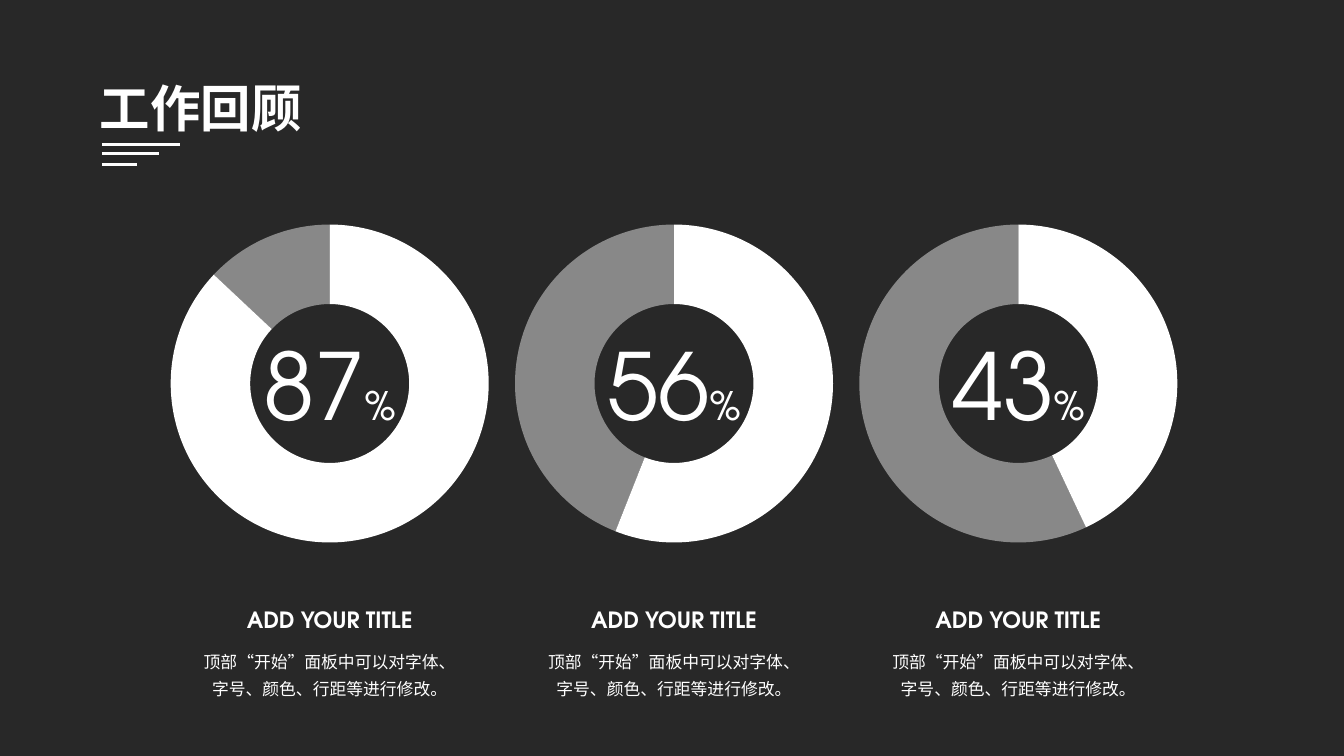
"""Build the work review slide with three doughnut charts."""
from lxml.etree import SubElement
from pptx import Presentation
from pptx.chart.data import CategoryChartData
from pptx.dml.color import RGBColor
from pptx.enum.chart import XL_CHART_TYPE as ChartType
from pptx.enum.shapes import MSO_CONNECTOR as Connector
from pptx.enum.text import MSO_ANCHOR as Anchor, MSO_AUTO_SIZE as AutoSize, PP_ALIGN as Align
from pptx.oxml import parse_xml
from pptx.oxml.ns import nsdecls, qn
from pptx.util import Inches, Pt

LATIN = "TeX Gyre Adventor"
CHINESE = "Noto Sans CJK SC"
BACKGROUND = "282828"
WHITE = "FFFFFF"
HEADING = "ADD YOUR TITLE"
DESCRIPTION = "顶部“开始”面板中可以对字体、字号、颜色、行距等进行修改。"
PERCENTAGES = (87, 56, 43)
FIRST_CENTER = 3.27
COLUMN_STEP = 3.415


def color(value):
    """Turn a hex string into a colour."""
    return RGBColor.from_string(value)


def add_run(paragraph, text, size, font=LATIN, bold=False):
    """Add white text in the given format to a paragraph."""
    run = paragraph.add_run()
    run.text = text
    run.font.size = Pt(size)
    run.font.bold = bold
    run.font.name = font
    run.font.color.rgb = color(WHITE)
    SubElement(run.font._element, qn("a:ea"), typeface=CHINESE)


def add_text(slide, center, top, width, height, runs, margins=(0.07, 0.04),
             wrap=True, spacing=None, **format):
    """Add a centred text box holding (text, size) runs."""
    box = slide.shapes.add_textbox(Inches(center - width / 2), Inches(top),
                                   Inches(width), Inches(height))
    frame = box.text_frame
    frame.word_wrap = wrap
    frame.auto_size = AutoSize.SHAPE_TO_FIT_TEXT
    frame.margin_left = frame.margin_right = Inches(margins[0])
    frame.margin_top = frame.margin_bottom = Inches(margins[1])
    paragraph = frame.paragraphs[0]
    paragraph.alignment = Align.CENTER
    if spacing:
        paragraph.line_spacing = spacing
    for text, size in runs:
        add_run(paragraph, text, size, **format)


def set_title(slide, text):
    """Place and format the slide title."""
    title = slide.shapes.title
    title.left, title.top = Inches(0.89), Inches(0.78)
    title.width, title.height = Inches(3.94), Inches(0.65)
    title.text_frame.vertical_anchor = Anchor.MIDDLE
    paragraph = title.text_frame.paragraphs[0]
    paragraph.alignment = Align.LEFT
    paragraph.line_spacing = 0.9
    add_run(paragraph, text, 36, bold=True)


def add_rule(slide, top, length):
    """Add a white line below the title."""
    rule = slide.shapes.add_connector(Connector.STRAIGHT, Inches(1.01), Inches(top),
                                      Inches(1.01 + length), Inches(top))
    rule.line.color.rgb = color(WHITE)
    rule.line.width = Pt(2.25)
    SubElement(rule._element.spPr, qn("a:effectLst"))


def add_doughnut(slide, center, percentage):
    """Add a doughnut with a white share and a translucent remainder."""
    data = CategoryChartData()
    data.categories = ["1", "2"]
    data.add_series("Series 1", (percentage, 100 - percentage))
    chart = slide.shapes.add_chart(ChartType.DOUGHNUT, Inches(center - 1.715), Inches(2.07),
                                   Inches(3.43), Inches(3.47), data).chart
    chart.has_legend = False
    chart.has_title = False
    chart.font.size = Pt(10)
    chart.font.name = LATIN
    chart.font.color.rgb = color("000000")
    plot = chart.plots[0]
    plot.vary_by_categories = True
    plot._element.find(qn("c:holeSize")).set("val", "75")
    for index in range(2):
        point = plot.series[0].points[index]
        point.format.fill.solid()
        point.format.fill.fore_color.rgb = color(WHITE)
        point.format.line.fill.background()
    fill = point.format.fill._xPr.find(qn("a:solidFill"))
    SubElement(fill[0], qn("a:alpha"), val="45000")
    space = chart._chartSpace
    space.find(qn("c:chart")).addnext(parse_xml(
        f'<c:spPr {nsdecls("c", "a")}><a:noFill/><a:ln><a:noFill/></a:ln></c:spPr>'))


def add_column(slide, center, percentage):
    """Add one chart with its value, heading and description."""
    add_doughnut(slide, center, percentage)
    add_text(slide, center, 3.21, 1.79, 1.21, [(str(percentage), 66), ("%", 28)],
             margins=(0.1, 0.05))
    add_text(slide, center, 6.37, 2.69, 0.58, [(DESCRIPTION, 12)], spacing=1.3, font=CHINESE)
    add_text(slide, center, 5.97, 1.83, 0.35, [(HEADING, 16)], wrap=False, bold=True)


def main():
    """Build and save the presentation."""
    presentation = Presentation()
    presentation.slide_width, presentation.slide_height = Inches(13.33), Inches(7.5)
    slide = presentation.slides.add_slide(presentation.slide_layouts[5])
    slide.background.fill.solid()
    slide.background.fill.fore_color.rgb = color(BACKGROUND)
    set_title(slide, "工作回顾")
    for top, length in ((1.43, 0.78), (1.52, 0.57), (1.63, 0.35)):
        add_rule(slide, top, length)
    for index, percentage in enumerate(PERCENTAGES):
        add_column(slide, FIRST_CENTER + index * COLUMN_STEP, percentage)
    presentation.save("out.pptx")


if __name__ == "__main__":
    main()
